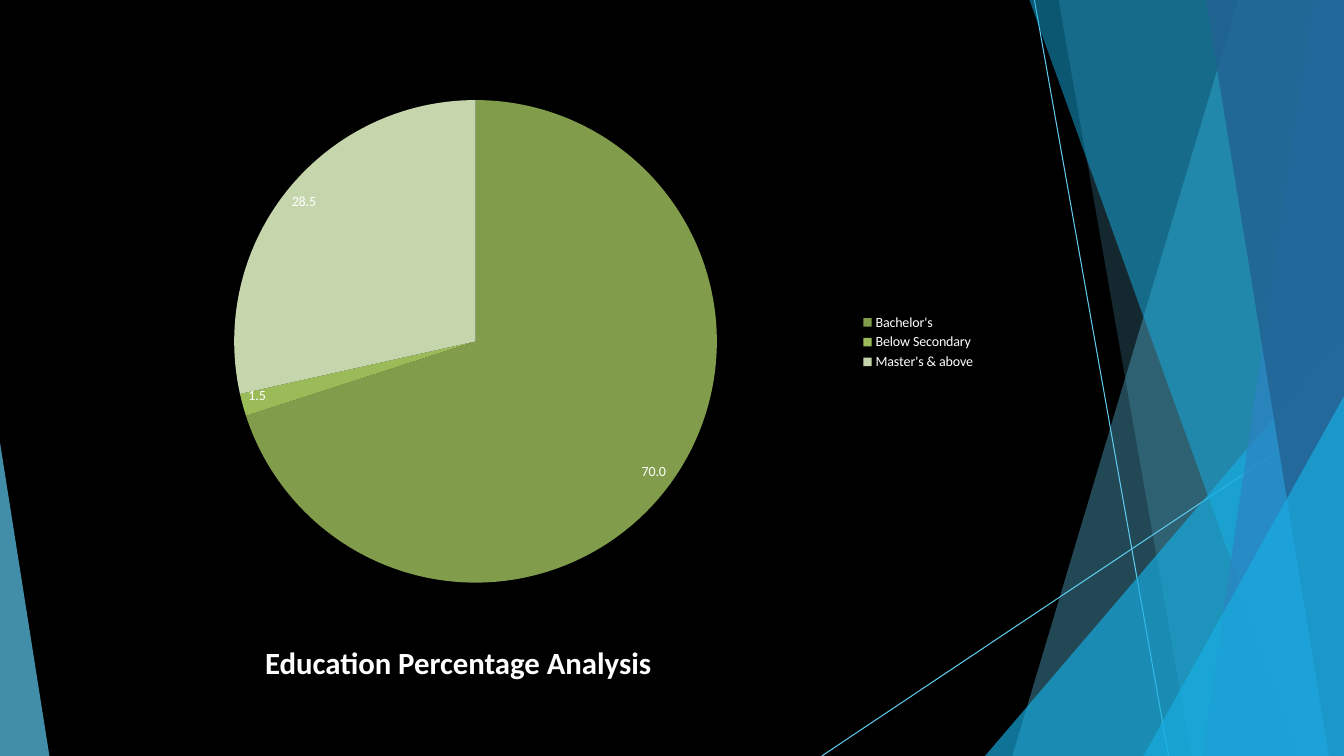
from lxml import etree
from pptx import Presentation
from pptx.chart.data import CategoryChartData
from pptx.dml.color import RGBColor
from pptx.enum.chart import XL_CHART_TYPE, XL_LABEL_POSITION, XL_LEGEND_POSITION
from pptx.enum.text import MSO_ANCHOR, PP_ALIGN
from pptx.oxml import parse_xml
from pptx.oxml.ns import nsdecls, qn
from pptx.util import Inches, Pt

PIE = XL_CHART_TYPE.PIE
INSIDE_END = XL_LABEL_POSITION.INSIDE_END
RIGHT = XL_LEGEND_POSITION.RIGHT
LEFT = PP_ALIGN.LEFT
MIDDLE = MSO_ANCHOR.MIDDLE

W, H = 13.33, 7.5
FONT = "Calibri"
COLORS = {
    "black": "000000", "white": "FFFFFF",
    "sky": "5FCAEE", "cyan": "17AFE3", "blue": "2D83C3", "navy": "226192",
    "olive": "819C4B", "green": "9BBB59", "sage": "C6D6AC",
}
EDUCATION = [  # category, percentage, slice colour
    ("Bachelor's", 70, "olive"),
    ("Below Secondary", 1.5, "green"),
    ("Master's & above", 28.5, "sage"),
]


def rgb(name):
    return RGBColor.from_string(COLORS[name])


def format_font(font, size, color="white", bold=False):
    font.name, font.size, font.bold = FONT, Pt(size), bold
    font.color.rgb = rgb(color)


def add_line(s, x1, y1, x2, y2, color):
    line = s.shapes.add_connector(1, Inches(x1), Inches(y1), Inches(x2), Inches(y2))
    line.line.color.rgb = rgb(color)
    line.line.width = Pt(0.75)
    etree.SubElement(line._element.spPr, qn("a:effectLst"))


def add_facet(s, points, color, opacity):
    """Translucent polygon without an outline."""
    pts = [(Inches(x), Inches(y)) for x, y in points]
    builder = s.shapes.build_freeform(*pts[0])
    builder.add_line_segments(pts[1:], close=True)
    sp = builder.convert_to_shape()
    sp.shadow.inherit = False
    sp.line.fill.background()
    sp.fill.solid()
    sp.fill.fore_color.rgb = rgb(color)
    clr = sp._element.spPr.find(qn("a:solidFill"))[0]
    etree.SubElement(clr, qn("a:alpha"), val=str(opacity * 1000))


def add_backdrop(s, w, h):
    add_line(s, 10.26, 0, 11.59, h, "sky")
    add_line(s, w, 4.04, 8.15, h, "sky")
    # Facets on the right edge: top corner, bottom corner, top of the edge
    for top_x, bottom_x, top, color, opacity in [
        (12.28, 10.04, 0, "sky", 36),
        (10.5, 11.82, 0, "sky", 20),
        (w, 9.77, 3.33, "cyan", 66),
        (10.21, 12.91, 0, "cyan", 50),
        (13.03, 11.92, 0, "blue", 70),
        (11.96, 13.18, 0, "navy", 80),
        (w, 11.34, 3.93, "cyan", 66),
    ]:
        corners = [(w, top), (top_x, top), (bottom_x, h), (w, h)]
        add_facet(s, list(dict.fromkeys(corners)), color, opacity)
    # Facet in the bottom left corner
    add_facet(s, [(0, 4.39), (0, h), (0.49, h)], "sky", 70)


def add_title(s, text, x, y, w, h):
    title = s.shapes.title
    title.left, title.top, title.width, title.height = map(Inches, (x, y, w, h))
    tf = title.text_frame
    tf.word_wrap = True
    tf.vertical_anchor = MIDDLE
    p = tf.paragraphs[0]
    p.alignment = LEFT
    r = p.add_run()
    r.text = text
    format_font(r.font, 22, bold=True)


def add_pie(s, rows, x, y, w, h):
    data = CategoryChartData(number_format="0.0")
    data.categories = [name for name, _, _ in rows]
    data.add_series("Series 1", [value for _, value, _ in rows])
    frame = s.shapes.add_chart(PIE, *map(Inches, (x, y, w, h)), data)
    chart = frame.chart
    chart.has_title = False
    format_font(chart.font, 10)

    # Legend
    chart.has_legend = True
    chart.legend.position = RIGHT
    chart.legend.include_in_layout = False
    format_font(chart.legend.font, 10)

    # Slices and labels
    plot = chart.plots[0]
    plot.vary_by_categories = True
    for i, (_, _, color) in enumerate(rows):
        fill = plot.series[0].points[i].format.fill
        fill.solid()
        fill.fore_color.rgb = rgb(color)
    plot.has_data_labels = True
    labels = plot.data_labels
    labels.show_value = True
    labels.number_format = "0.0"
    labels.number_format_is_linked = False
    labels.position = INSIDE_END
    format_font(labels.font, 10)

    # Circle placed left of the legend
    diameter = 4.79
    place = {"x": 1.59 / w, "y": 0.13 / h, "w": diameter / w, "h": diameter / h}
    parts = "".join(f'<c:{k} val="{v:.3f}"/>' for k, v in place.items())
    layout = parse_xml(
        f'<c:layout {nsdecls("c")}><c:manualLayout><c:layoutTarget val="inner"/>'
        f'<c:xMode val="edge"/><c:yMode val="edge"/>{parts}'
        "</c:manualLayout></c:layout>")
    area = chart._chartSpace.chart.plotArea
    for old in area.findall(qn("c:layout")):
        area.remove(old)
    area.insert(0, layout)


def main():
    prs = Presentation()
    prs.slide_width, prs.slide_height = Inches(W), Inches(H)
    s = prs.slides.add_slide(prs.slide_layouts[5])
    s.background.fill.solid()
    s.background.fill.fore_color.rgb = rgb("black")
    add_backdrop(s, W, H)
    add_title(s, "Education Percentage Analysis", 2.53, 6.33, 4.22, 0.47)
    add_pie(s, EDUCATION, 0.73, 0.86, 9.05, 5.07)
    prs.save("out.pptx")


if __name__ == "__main__":
    main()
